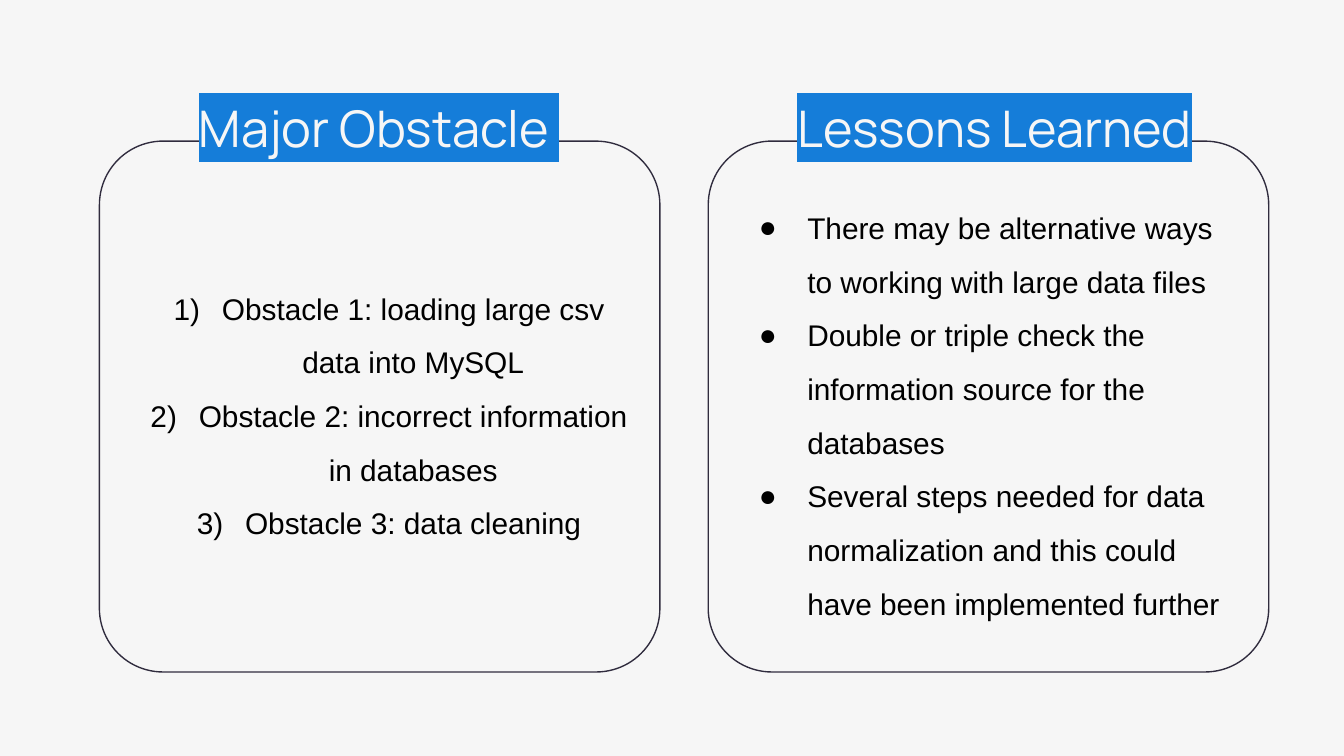
"""Build a slide with two titled cards: obstacles and lessons."""
from dataclasses import dataclass

import pptx
import pptx.dml.color
import pptx.enum.shapes
import pptx.enum.text
import pptx.oxml
import pptx.oxml.ns
import pptx.util
from pptx.dml.color import RGBColor
from pptx.util import Inches

PAPER = RGBColor(0xF6, 0xF6, 0xF6)
INK = RGBColor(0x30, 0x2C, 0x3E)
BLUE = RGBColor(0x15, 0x7D, 0xD9)
BLACK = RGBColor(0, 0, 0)
ALIGN = pptx.enum.text.PP_ALIGN
ANCHOR = pptx.enum.text.MSO_ANCHOR
NUMBER = '<a:buAutoNum {} type="arabicParenR"/>'
BULLET = '<a:buChar {} char="●"/>'


@dataclass(frozen=True)
class Card:
    head: str
    items: tuple[str, ...]
    left: float
    inset: float
    mark: str
    align: ALIGN


CARDS = (
    Card("Major Obstacle ", (
        "Obstacle 1: loading large csv data into MySQL",
        "Obstacle 2: incorrect information in databases",
        "Obstacle 3: data cleaning",
    ), 0.74, 0.46, NUMBER, ALIGN.CENTER),
    Card("Lessons Learned", (
        "There may be alternative ways to working with large data files",
        "Double or triple check the information source for the databases",
        "Several steps needed for data normalization and this could have been implemented further",
    ), 5.27, 0.51, BULLET, ALIGN.LEFT),
)


def make(xml: str):
    """Parse a snippet whose {} stands for the drawing namespace."""
    return pptx.oxml.parse_xml(xml.format(pptx.oxml.ns.nsdecls("a")))


def write(shape, lines: tuple[str, ...], *, size: float, font: str, color: RGBColor,
          align: ALIGN = ALIGN.CENTER, anchor: ANCHOR = ANCHOR.TOP,
          space: float = 1.0, mark: str = "", glow: RGBColor | None = None) -> None:
    """Fill a shape with formatted paragraphs."""
    frame = shape.text_frame
    frame.word_wrap = True
    frame.auto_size = pptx.enum.text.MSO_AUTO_SIZE.NONE
    frame.vertical_anchor = anchor
    frame.margin_left = frame.margin_right = Inches(0.1)
    frame.margin_top = frame.margin_bottom = Inches(0.1)
    for i, line in enumerate(lines):
        para = frame.paragraphs[0] if i == 0 else frame.add_paragraph()
        if mark:
            props = para._p.get_or_add_pPr()
            props.set("marL", str(Inches(0.5)))
            props.set("indent", str(Inches(-0.36)))
            props.append(make(f'<a:buClr {{}}><a:srgbClr val="{color}"/></a:buClr>'))
            props.append(make(f'<a:buFont {{}} typeface="{font}"/>'))
            props.append(make(mark))
        para.alignment = align
        para.line_spacing = space
        para.space_before = pptx.util.Pt(0)
        run = para.add_run()
        run.text = line
        run.font.size = pptx.util.Pt(size)
        run.font.bold = False
        run.font.name = font
        run.font.color.rgb = color
        if glow is not None:
            fill = run._r.rPr.find(pptx.oxml.ns.qn("a:solidFill"))
            fill.addnext(make(f'<a:highlight {{}}><a:srgbClr val="{glow}"/></a:highlight>'))


def draw(slide, card: Card, head=None) -> None:
    """Draw a card and lay its heading over the top edge."""
    box = slide.shapes.add_shape(
        pptx.enum.shapes.MSO_SHAPE.ROUNDED_RECTANGLE,
        Inches(card.left), Inches(1.05), Inches(4.17), Inches(3.95))
    box.adjustments[0] = 0.12
    box.shadow.inherit = False
    box.fill.background()
    box.line.color.rgb = INK
    box.line.width = pptx.util.Pt(0.75)
    write(box, card.items, size=16, font="Arial", color=BLACK, align=card.align,
          anchor=ANCHOR.MIDDLE, space=1.5, mark=card.mark)
    place = (Inches(card.left + card.inset), Inches(0.62), Inches(3.24), Inches(0.63))
    if head is None:
        head = slide.shapes.add_textbox(*place)
    else:
        head.left, head.top, head.width, head.height = place
        box._element.addnext(head._element)
    write(head, (card.head,), size=27, font="Manrope", color=PAPER, glow=BLUE)


def main() -> None:
    """Build and save the deck."""
    deck = pptx.Presentation()
    deck.slide_width = Inches(10)
    deck.slide_height = Inches(10) * 9 // 16
    slide = deck.slides.add_slide(deck.slide_layouts[5])
    slide.background.fill.solid()
    slide.background.fill.fore_color.rgb = PAPER
    first, second = CARDS
    draw(slide, first, slide.shapes.title)
    draw(slide, second)
    deck.save("out.pptx")


if __name__ == "__main__":
    main()
